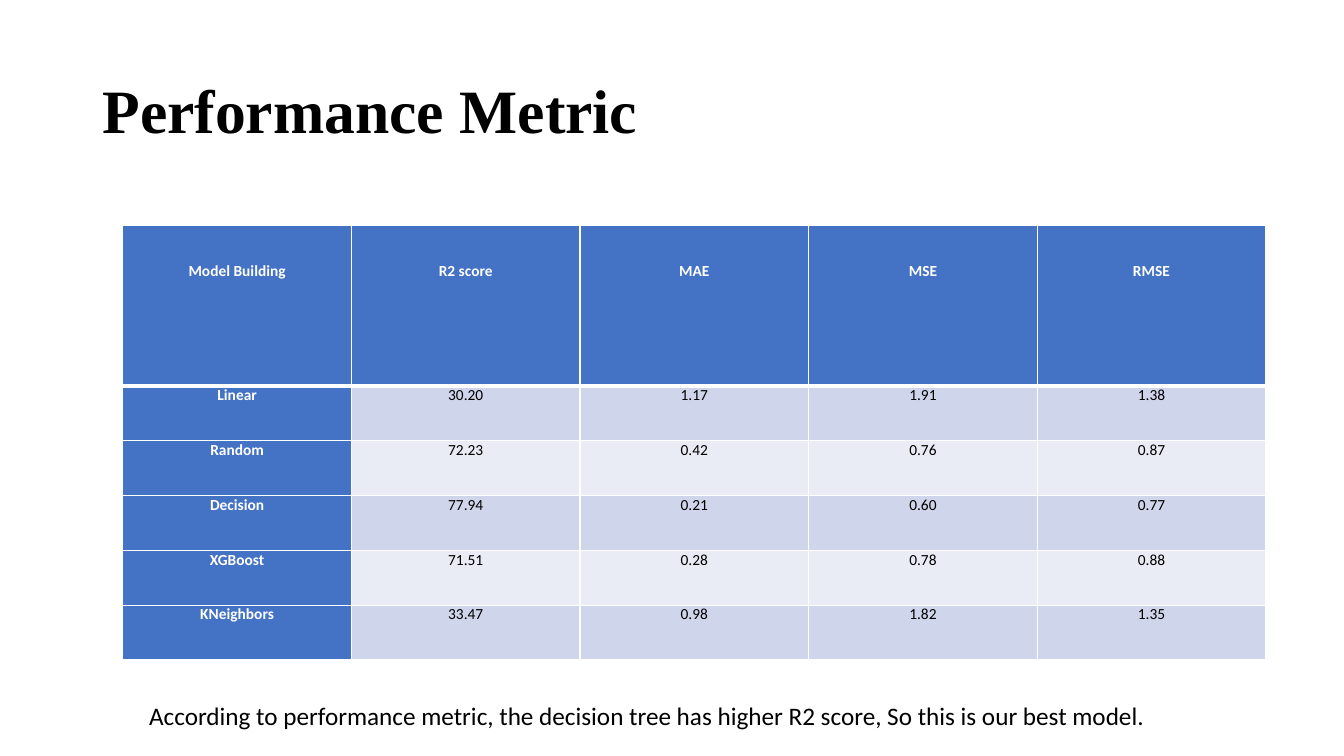
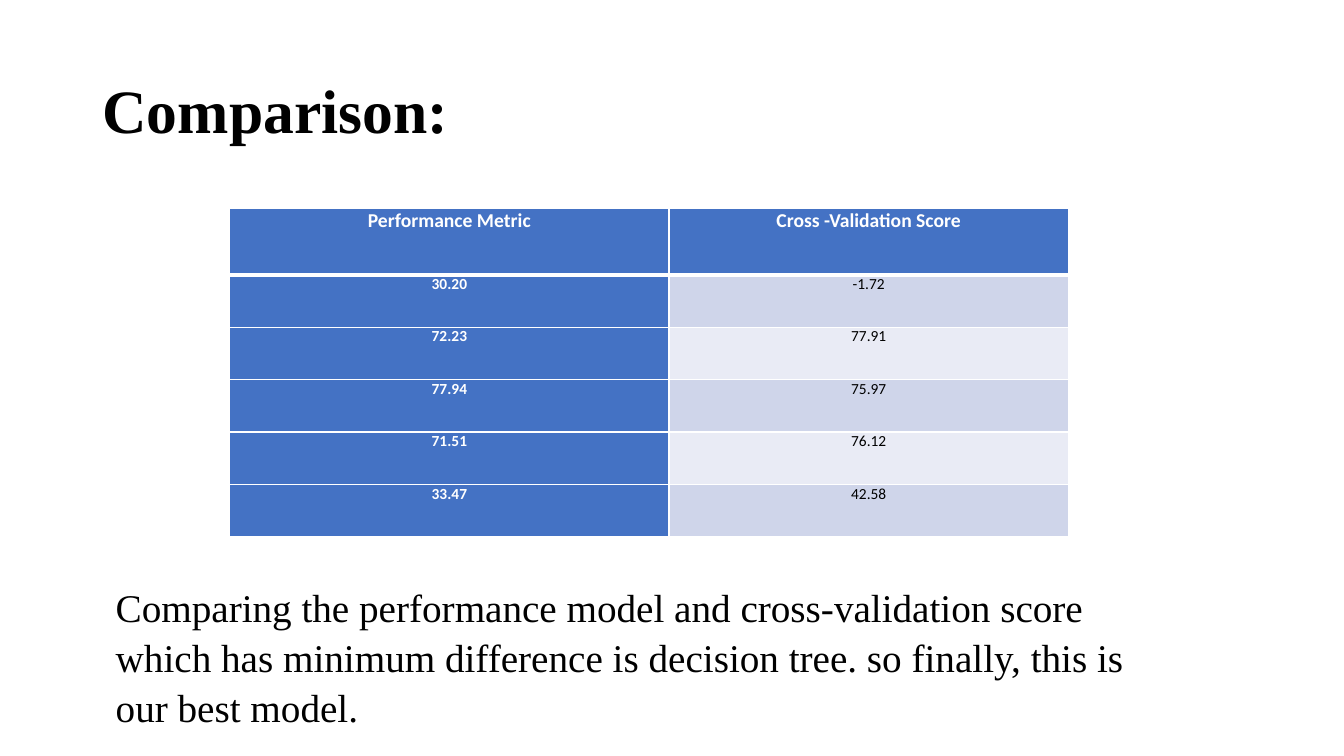
from lxml.etree import SubElement
from pptx import Presentation
from pptx.dml.color import RGBColor
from pptx.enum.text import MSO_ANCHOR as Anchor, MSO_AUTO_SIZE as AutoSize, PP_ALIGN as Align
from pptx.oxml.ns import qn
from pptx.util import Pt


def color(hex_string):
    return RGBColor.from_string(hex_string)


def write(text_frame, text, font="Calibri", size=11, ink="000000", bold=False,
          align=Align.LEFT, line_spacing=1.0):
    paragraph = text_frame.paragraphs[0]
    paragraph.alignment = align
    paragraph.line_spacing = line_spacing
    run = paragraph.add_run()
    run.text = text
    run.font.name = font
    run.font.size = Pt(size)
    run.font.bold = bold
    run.font.color.rgb = color(ink)


def draw_borders(cell, hex_string, **widths):
    """Add cell borders; widths are keyed L, R, T, B, in that order."""
    properties = cell._tc.get_or_add_tcPr()
    for side, width in widths.items():
        line = SubElement(properties, qn(f"a:ln{side}"), w=str(Pt(width)))
        fill = SubElement(line, qn("a:solidFill"))
        SubElement(fill, qn("a:srgbClr"), val=hex_string)


class Deck:
    SERIF = "Times New Roman"
    WHITE = "FFFFFF"
    ACCENT = "4472C4"
    BANDS = ("CFD5EA", "E9EBF5")

    def __init__(self):
        self.presentation = Presentation()
        self.presentation.slide_width = Pt(960)
        self.presentation.slide_height = Pt(540)
        self.slide = None

    def add_slide(self, title):
        self.slide = self.presentation.slides.add_slide(self.presentation.slide_layouts[5])
        shape = self.slide.shapes.title
        shape.left, shape.top, shape.width, shape.height = Pt(66), Pt(28.8), Pt(828), Pt(104.4)
        text_frame = shape.text_frame
        text_frame.auto_size = AutoSize.NONE
        text_frame.vertical_anchor = Anchor.MIDDLE
        write(text_frame, title, font=self.SERIF, size=44, bold=True, line_spacing=0.9)

    def add_table(self, rows, left, top, column_widths, header_height, row_height,
                  header_size=11, header_inset=0):
        heights = [header_height] + [row_height] * (len(rows) - 1)
        table = self.slide.shapes.add_table(
            len(rows), len(column_widths), Pt(left), Pt(top),
            Pt(sum(column_widths)), Pt(sum(heights))).table
        table.horz_banding = False
        table.first_col = True
        for column, width in zip(table.columns, column_widths):
            column.width = Pt(width)
        for row_index, (values, height) in enumerate(zip(rows, heights)):
            table.rows[row_index].height = Pt(height)
            for column_index, value in enumerate(values):
                self.fill_cell(table.cell(row_index, column_index), value, row_index,
                               column_index, header_size, header_inset)

    def fill_cell(self, cell, value, row_index, column_index, header_size, header_inset):
        is_header = row_index == 0
        is_label = is_header or column_index == 0
        cell.margin_left = cell.margin_right = Pt(5)
        cell.margin_top = Pt(header_inset if is_header else 0)
        cell.margin_bottom = Pt(0)
        draw_borders(cell, self.WHITE, L=1, R=1, T=3 if row_index == 1 else 1,
                     B=3 if is_header else 1)
        cell.fill.solid()
        cell.fill.fore_color.rgb = color(
            self.ACCENT if is_label else self.BANDS[(row_index - 1) % 2])
        write(cell.text_frame, value, size=header_size if is_header else 11,
              ink=self.WHITE if is_label else "000000", bold=is_label, align=Align.CENTER)

    def add_caption(self, text, left, top, width, height, **text_format):
        shape = self.slide.shapes.add_textbox(Pt(left), Pt(top), Pt(width), Pt(height))
        shape.text_frame.word_wrap = True
        shape.text_frame.auto_size = AutoSize.SHAPE_TO_FIT_TEXT
        write(shape.text_frame, text, **text_format)


METRICS = [
    ("Model Building", "R2 score", "MAE", "MSE", "RMSE"),
    ("Linear", "30.20", "1.17", "1.91", "1.38"),
    ("Random", "72.23", "0.42", "0.76", "0.87"),
    ("Decision", "77.94", "0.21", "0.60", "0.77"),
    ("XGBoost", "71.51", "0.28", "0.78", "0.88"),
    ("KNeighbors", "33.47", "0.98", "1.82", "1.35"),
]
CROSS_VALIDATION_SCORES = ("-1.72", "77.91", "75.97", "76.12", "42.58")


def main():
    deck = Deck()

    deck.add_slide("Performance Metric")
    deck.add_table(METRICS, 87.8, 161.3, [163.3] * 5, header_height=114.3, row_height=39.2,
                   header_inset=25.4)
    deck.add_caption("According to performance metric, the decision tree has higher R2 score, "
                     "So this is our best model.", 99.4, 496.8, 780, 29, size=18)

    deck.add_slide("Comparison:")
    r2_scores = [row[1] for row in METRICS[1:]]
    comparison = [("Performance Metric", "Cross -Validation Score"),
                  *zip(r2_scores, CROSS_VALIDATION_SCORES)]
    deck.add_table(comparison, 164.2, 149, [313.6, 285.5], header_height=47.2, row_height=37.5,
                   header_size=14)
    deck.add_caption("Comparing the performance model and cross-validation score which has "
                     "minimum difference is decision tree. so finally, this is our best model.",
                     75.6, 410.4, 770.4, 114.5, font=Deck.SERIF, size=28, line_spacing=1.07)

    deck.presentation.save("out.pptx")


if __name__ == "__main__":
    main()
